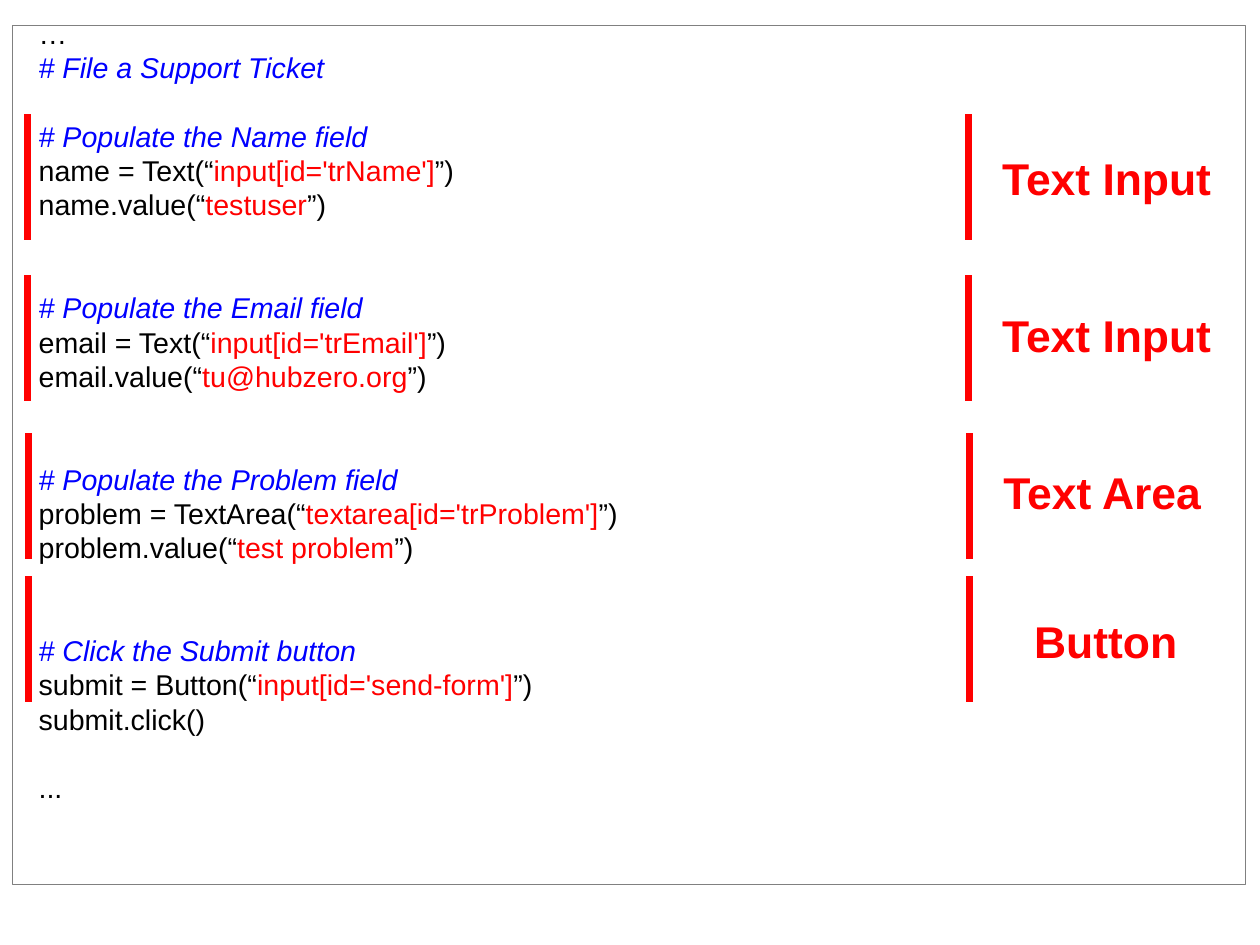
import pptx
import pptx.util
import pptx.dml.color
import pptx.enum.shapes
import pptx.enum.text
import pptx.oxml.ns
import lxml.etree

Inches = pptx.util.Inches
Pt = pptx.util.Pt
RGBColor = pptx.dml.color.RGBColor
BLACK = RGBColor(0, 0, 0)
BLUE = RGBColor(0, 0, 255)
RED = RGBColor(255, 0, 0)
GRAY = RGBColor(128, 128, 128)
WHITE = RGBColor(255, 255, 255)

PLAIN = {"color": BLACK}
COMMENT = {"color": BLUE, "italic": True}
STRING = {"color": RED}
LABEL = {"color": RED, "bold": True, "size": Pt(28)}
LINE = 21.6

CODE = [
    (0, [("…", PLAIN)]),
    (0, [("# File a Support Ticket", COMMENT)]),
    (1, [("# Populate the Name field", COMMENT)]),
    (0, [("name = Text(“", PLAIN), ("input[id='trName']", STRING), ("”)", PLAIN)]),
    (0, [("name.value(“", PLAIN), ("testuser", STRING), ("”)", PLAIN)]),
    (2, [("# Populate the Email field", COMMENT)]),
    (0, [("email = Text(“", PLAIN), ("input[id='trEmail']", STRING), ("”)", PLAIN)]),
    (0, [("email.value(“", PLAIN), ("tu@hubzero.org", STRING), ("”)", PLAIN)]),
    (2, [("# Populate the Problem field", COMMENT)]),
    (0, [("problem = TextArea(“", PLAIN), ("textarea[id='trProblem']", STRING), ("”)", PLAIN)]),
    (0, [("problem.value(“", PLAIN), ("test problem", STRING), ("”)", PLAIN)]),
    (2, [("# Click the Submit button", COMMENT)]),
    (0, [("submit = Button(“", PLAIN), ("input[id='send-form']", STRING), ("”)", PLAIN)]),
    (0, [("submit.click()", PLAIN)]),
    (1, [("...", PLAIN)]),
]

SECTIONS = [
    (0.24, 1.0, "Text Input", 8.67, 1.27, 2.05),
    (0.24, 2.41, "Text Input", 8.67, 2.65, 2.05),
    (0.25, 3.79, "Text Area", 8.68, 4.02, 1.95),
    (0.25, 5.04, "Button", 8.95, 5.32, 1.47),
]


class SlideBuilder:
    """Draws styled frames, bars and text on one slide."""

    def __init__(self, prs):
        self.s = prs.slides.add_slide(prs.slide_layouts[6])
        self.base = {"name": "Arial", "size": Pt(18), "bold": False, "italic": False}

    def frame(self, x, y, w, h):
        sp = self.s.shapes.add_shape(
            pptx.enum.shapes.MSO_SHAPE.RECTANGLE, Inches(x), Inches(y), Inches(w), Inches(h))
        sp.shadow.inherit = False
        sp.fill.solid()
        sp.fill.fore_color.rgb = WHITE
        sp.line.color.rgb = GRAY
        sp.line.width = Pt(0)

    def bar(self, x, y, h):
        c = self.s.shapes.add_connector(
            pptx.enum.shapes.MSO_CONNECTOR.STRAIGHT, Inches(x), Inches(y), Inches(x), Inches(y + h))
        c.line.color.rgb = RED
        c.line.width = Pt(4.31)
        lxml.etree.SubElement(c._element.spPr, pptx.oxml.ns.qn("a:effectLst"))

    def text(self, x, y, w, h, lines, wrap=True, spacing=None):
        tf = self.s.shapes.add_textbox(Inches(x), Inches(y), Inches(w), Inches(h)).text_frame
        tf.word_wrap = wrap
        tf.auto_size = pptx.enum.text.MSO_AUTO_SIZE.SHAPE_TO_FIT_TEXT
        for i, (gap, runs) in enumerate(lines):
            p = tf.add_paragraph() if i else tf.paragraphs[0]
            if spacing:
                p.line_spacing = Pt(spacing)
            if gap:
                p.space_before = Pt(gap * spacing)
            for content, style in runs:
                r = p.add_run()
                r.text = content
                for key, value in {**self.base, **style}.items():
                    if key == "color":
                        r.font.color.rgb = value
                    else:
                        setattr(r.font, key, value)


def main():
    prs = pptx.Presentation()
    prs.slide_width, prs.slide_height = Inches(28 / 2.54), Inches(21 / 2.54)
    b = SlideBuilder(prs)
    b.frame(0.11, 0.22, 10.79, 7.52)
    b.text(0.24, 0.09, 10.66, 7.1, CODE, spacing=LINE)
    for bar_x, bar_y, label, x, y, w in SECTIONS:
        for offset in (0, 8.23):
            b.bar(bar_x + offset, bar_y, 1.1)
        b.text(x, y, w, 0.53, [(0, [(label, LABEL)])], wrap=False)
    prs.save("out.pptx")


if __name__ == "__main__":
    main()
